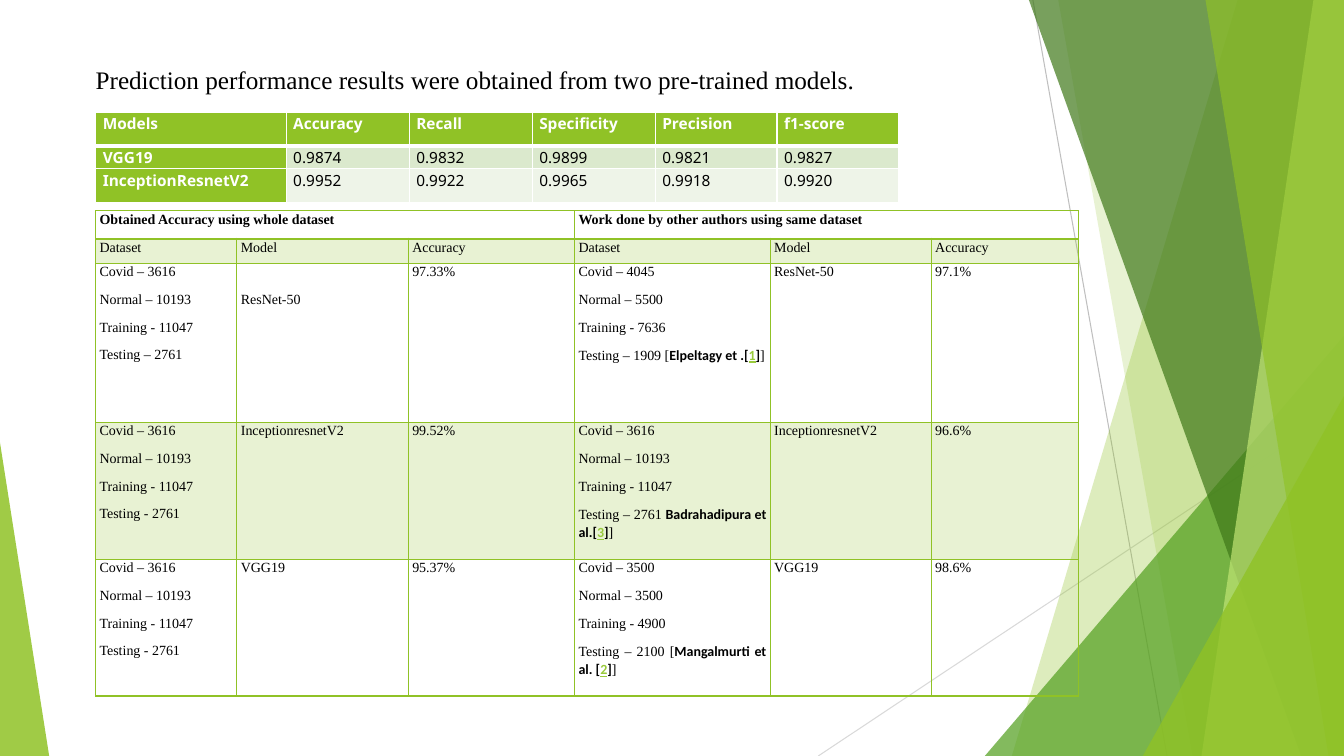
from lxml import etree
from pptx import Presentation
from pptx.dml.color import RGBColor
from pptx.enum.shapes import MSO_CONNECTOR, MSO_SHAPE
from pptx.enum.text import MSO_ANCHOR, MSO_AUTO_SIZE, PP_ALIGN
from pptx.oxml.ns import qn
from pptx.util import Cm, Pt

STRAIGHT = MSO_CONNECTOR.STRAIGHT
TRIANGLE = MSO_SHAPE.ISOSCELES_TRIANGLE
TOP = MSO_ANCHOR.TOP
LEFT, JUSTIFY = PP_ALIGN.LEFT, PP_ALIGN.JUSTIFY
NO_AUTOFIT = MSO_AUTO_SIZE.NONE

WHITE = RGBColor(0xFF, 0xFF, 0xFF)
BLACK = RGBColor(0x00, 0x00, 0x00)
LIME = RGBColor(0x90, 0xC2, 0x26)
PALE_LIME = RGBColor(0xC0, 0xE4, 0x74)
LEAF = RGBColor(0x54, 0xA0, 0x21)
FOREST = RGBColor(0x3F, 0x78, 0x19)
CITATION = RGBColor(0x99, 0xCA, 0x3C)
MINT = RGBColor(0xDB, 0xE9, 0xCD)
PALE_MINT = RGBColor(0xEE, 0xF4, 0xE8)
GREY = RGBColor(0xBF, 0xBF, 0xBF)
LIGHT_GREY = RGBColor(0xD9, 0xD9, 0xD9)

SERIF, SANS, CITE_FONT = "Times New Roman", "Noto Sans", "Calibri"
PARAGRAPH = {"line_spacing": 1.07, "space_after": Pt(8)}

SCORES = [
    ["Models", "Accuracy", "Recall", "Specificity", "Precision", "f1-score"],
    ["VGG19", "0.9874", "0.9832", "0.9899", "0.9821", "0.9827"],
    ["InceptionResnetV2", "0.9952", "0.9922", "0.9965", "0.9918", "0.9920"],
]


def dataset(covid, normal, training, *testing):
    return [f"Covid – {covid}", f"Normal – {normal}", f"Training - {training}", testing]


COMPARISON = [
    ["Obtained Accuracy using whole dataset", None, None,
     "Work done by other authors using same dataset", None, None],
    ["Dataset", "Model", "Accuracy"] * 2,
    [dataset(3616, 10193, 11047, "Testing – 2761"), "ResNet-50", "97.33%",
     dataset(4045, 5500, 7636, "Testing – 1909 [", "Elpeltagy et .[", "1"),
     "ResNet-50", "97.1%"],
    [dataset(3616, 10193, 11047, "Testing - 2761"), "InceptionresnetV2", "99.52%",
     dataset(3616, 10193, 11047, "Testing – 2761 ", "Badrahadipura et al.[", "3"),
     "InceptionresnetV2", "96.6%"],
    [dataset(3616, 10193, 11047, "Testing - 2761"), "VGG19", "95.37%",
     dataset(3500, 3500, 4900, "Testing – 2100 [", "Mangalmurti et al. [", "2"),
     "VGG19", "98.6%"],
]


def apply(target, formats):
    for name, value in formats.items():
        setattr(target, name, value)


def add_run(paragraph, text, color, **font):
    run = paragraph.add_run()
    run.text = text
    apply(run.font, font)
    run.font.color.rgb = color


def paint(fill, props, color, opacity=100):
    fill.solid()
    fill.fore_color.rgb = color
    if opacity < 100:
        tint = props.find(".//" + qn("a:srgbClr"))
        etree.SubElement(tint, qn("a:alpha"), val=str(opacity * 1000))


def finish(shape, color, opacity):
    shape.shadow.inherit = False
    shape.line.fill.background()
    paint(shape.fill, shape._element.spPr, color, opacity)


def add_border(cell, color, bottom_width):
    props = cell._tc.get_or_add_tcPr()
    for index, side in enumerate(("lnL", "lnR", "lnT", "lnB")):
        width = bottom_width if side == "lnB" else 1
        edge = etree.Element(qn("a:" + side), w=str(Pt(width)))
        solid = etree.SubElement(edge, qn("a:solidFill"))
        etree.SubElement(solid, qn("a:srgbClr"), val=str(color))
        props.insert(index, edge)


def add_corner(slide, box, apex, color, opacity):
    corner = slide.shapes.add_shape(TRIANGLE, *map(Cm, box))
    corner.adjustments[0] = apex
    finish(corner, color, opacity)


def add_wing(slide, box, top_x, bottom_x, color, opacity):
    left, top, width, height = box
    outline = [(top_x, 0), (width, 0), (width, height), (bottom_x, height)]
    points = [(Cm(left + x), Cm(top + y)) for x, y in outline]
    builder = slide.shapes.build_freeform(*points[0], scale=1.0)
    builder.add_line_segments(points[1:], close=True)
    finish(builder.convert_to_shape(), color, opacity)


def add_facets(slide, box):
    left, top, width, height = box
    for x1, y1, x2, color in ((5.41, 0, 8.79, GREY), (width, 10.24, 0, LIGHT_GREY)):
        ray = slide.shapes.add_connector(
            STRAIGHT, Cm(left + x1), Cm(top + y1), Cm(left + x2), Cm(top + height))
        apply(ray.line, {"width": Pt(0.75)})
        ray.line.color.rgb = color
        etree.SubElement(ray._element.spPr, qn("a:effectLst"))

    def corner(x, y, color, opacity):
        add_corner(slide, (left + x, top + y, width - x, height - y), 1, color, opacity)

    add_wing(slide, box, 10.57, 4.88, LIME, 30)
    add_wing(slide, box, 6.05, 9.43, LIME, 20)
    corner(4.2, 8.46, LEAF, 72)
    add_wing(slide, box, 5.31, 12.17, FOREST, 70)
    add_wing(slide, box, 12.48, 9.66, PALE_LIME, 70)
    add_wing(slide, box, 9.76, 12.86, LIME, 65)
    corner(8.18, 9.98, LIME, 80)


def add_title(slide, box):
    title = slide.shapes.title
    left, top, width, height = map(Cm, box)
    apply(title, {"left": left, "top": top, "width": width, "height": height})
    apply(title.text_frame, {
        "word_wrap": True, "auto_size": NO_AUTOFIT, "vertical_anchor": TOP,
        "margin_left": Cm(0.25), "margin_right": Cm(0.25),
        "margin_top": Cm(0.13), "margin_bottom": Cm(0.13)})
    heading = title.text_frame.paragraphs[0]
    apply(heading, {"alignment": LEFT, "line_spacing": 1.0, "space_before": Pt(0)})
    add_run(heading, "Prediction performance results were obtained from two pre-trained models.",
            BLACK, name=SERIF, size=Pt(18), bold=False)


def add_grid(slide, box, rows, widths, heights, side_margin):
    frame = slide.shapes.add_table(len(rows), len(widths), *map(Cm, box))
    table = frame.table
    table.horz_banding = False
    for column, width in zip(table.columns, widths):
        column.width = Cm(width)
    for row, height in zip(table.rows, heights):
        row.height = Cm(height)
    for cell in table.iter_cells():
        apply(cell, {"margin_left": Cm(side_margin), "margin_right": Cm(side_margin),
                     "margin_top": 0, "margin_bottom": 0, "vertical_anchor": TOP})
    return table


def add_scores(slide, box):
    table = add_grid(slide, box, SCORES, [4.8] + [3.1] * 3 + [3.07] * 2,
                     [0.86, 0.42, 0.86], 0.18)
    for r, row in enumerate(SCORES):
        for c, text in enumerate(row):
            cell = table.cell(r, c)
            heading = r == 0 or c == 0
            color = LIME if heading else (MINT, PALE_MINT)[r - 1]
            paint(cell.fill, cell._tc.tcPr, color)
            add_border(cell, WHITE, 1 if r else 3)
            paragraph = cell.text_frame.paragraphs[0]
            apply(paragraph, PARAGRAPH)
            add_run(paragraph, text, WHITE if heading else BLACK,
                    name=SANS, size=Pt(11), bold=heading)


def write_line(paragraph, parts, bold):
    apply(paragraph, {**PARAGRAPH, "alignment": JUSTIFY})
    serif = {"name": SERIF, "size": Pt(10), "bold": bold}
    cite = {"name": CITE_FONT, "size": Pt(10), "bold": True}
    add_run(paragraph, parts[0], BLACK, **serif)
    if len(parts) > 1:
        add_run(paragraph, parts[1], BLACK, **cite)
        add_run(paragraph, parts[2], CITATION, underline=True, **cite)
        add_run(paragraph, "]", BLACK, **cite)
        add_run(paragraph, "]", BLACK, **serif)


def add_comparison(slide, box):
    table = add_grid(slide, box, COMPARISON, [3.56, 4.32, 4.19, 4.93, 4.06, 3.71],
                     [0.71, 0.61, 4.01, 3.45, 3.45], 0.1)
    for first in (0, 3):
        table.cell(0, first).merge(table.cell(0, first + 2))
    for r, row in enumerate(COMPARISON):
        for c, content in enumerate(row):
            cell = table.cell(r, c)
            if r % 2:
                paint(cell.fill, cell._tc.tcPr, LIME, 20)
            else:
                cell.fill.background()
            add_border(cell, LIME, 1 if r else 2)
            if content is None:
                continue
            text = cell.text_frame
            for n, line in enumerate(content if isinstance(content, list) else [content]):
                paragraph = text.add_paragraph() if n else text.paragraphs[0]
                write_line(paragraph, (line,) if isinstance(line, str) else line, r == 0)
    table.cell(2, 1).margin_top = Pt(20)


def build_results_slide(deck):
    slide = deck.slides.add_slide(deck.slide_layouts[5])
    add_facets(slide, (20.62, 0, 13.25, 19.05))
    add_corner(slide, (0, 11.15, 1.24, 7.9), 0, LIME, 85)
    add_title(slide, (2.16, 1.5, 20.04, 1.02))
    add_scores(slide, (2.41, 2.82, 20.24, 2.14))
    add_comparison(slide, (2.41, 5.31, 24.77, 12.23))


deck = Presentation()
apply(deck, {"slide_width": Cm(33.87), "slide_height": Cm(19.05)})
build_results_slide(deck)
deck.save("out.pptx")
